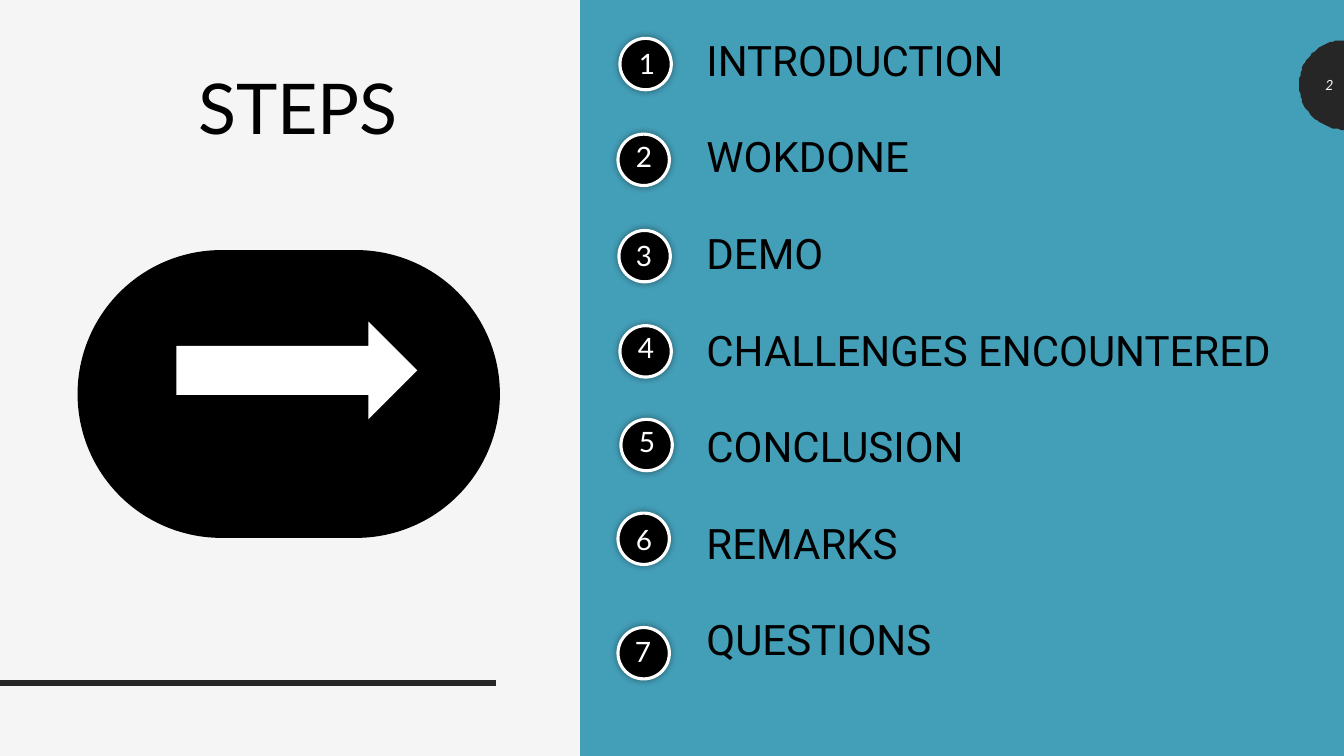
import math
from lxml import etree
from pptx import Presentation
from pptx.dml.color import RGBColor
from pptx.enum import shapes as kinds, text as opts
from pptx.oxml import ns, parse_xml
from pptx.util import Pt

theme = {
    "paper": "F5F5F5", "teal": "439EB7", "dark": "262626",
    "black": "000000", "white": "FFFFFF",
    "title": 50, "item": 30, "badge": 20, "page": 10,
}
kind = kinds.MSO_SHAPE
align = opts.PP_ALIGN
middle = opts.MSO_ANCHOR.MIDDLE


def style(shape, fill, glow=False):
    shape.shadow.inherit = False
    shape.fill.solid()
    shape.fill.fore_color.rgb = RGBColor.from_string(theme[fill])
    shape.line.fill.background()
    if glow:
        effects = shape._element.spPr.find(ns.qn("a:effectLst"))
        effects.append(parse_xml(
            f'<a:outerShdw {ns.nsdecls("a")} blurRad="{Pt(5)}" dist="0" dir="0">'
            f'<a:srgbClr val="{theme["black"]}"><a:alpha val="40000"/></a:srgbClr>'
            '</a:outerShdw>'))
    return shape


def write(area, words, size, color, face="Lato", side=align.LEFT, wrap=True):
    box = slide.shapes.add_textbox(*map(Pt, area))
    frame = box.text_frame
    frame.word_wrap = wrap
    frame.text = words
    for para in frame.paragraphs:
        para.alignment = side
        font = para.runs[0].font
        font.name = face
        font.size = Pt(theme[size])
        font.color.rgb = RGBColor.from_string(theme[color])
    return frame


deck = Presentation()
deck.slide_width, deck.slide_height = Pt(960), Pt(540)
slide = deck.slides.add_slide(deck.slide_layouts[6])
slide.background.fill.solid()
slide.background.fill.fore_color.rgb = RGBColor.from_string(theme["paper"])

rule = slide.shapes.add_connector(
    kinds.MSO_CONNECTOR.STRAIGHT, Pt(0), Pt(488), Pt(354.3), Pt(488))
rule.line.width = Pt(4.5)
rule.line.color.rgb = RGBColor.from_string(theme["dark"])
etree.SubElement(rule._element.spPr, ns.qn("a:effectLst"))

panel = slide.shapes.add_shape(kind.RECTANGLE, Pt(414.4), Pt(0), Pt(545.6), Pt(540))
style(panel, "teal")

mid, radius = 60.6, 32
arc = [(960 - radius * math.sin(math.pi * n / 48),
        mid - radius * math.cos(math.pi * n / 48)) for n in range(49)]
outline = slide.shapes.build_freeform(*arc[0], scale=Pt(1))
outline.add_line_segments(arc[1:], close=True)
style(outline.convert_to_shape(), "dark")

page = write((927.5, 46, 32, 28.8), "2", "page", "paper", side=align.RIGHT)
page.vertical_anchor = middle
page.paragraphs[0].runs[0].font.italic = True

title = write((132.5, 49, 159, 62.6), "STEPS", "title", "black", side=align.RIGHT)
title.paragraphs[0].line_spacing = 0.9

items = ["INTRODUCTION", "WOKDONE", "DEMO", "CHALLENGES ENCOUNTERED",
         "CONCLUSION", "REMARKS", "QUESTIONS"]
agenda = write((497.5, 17.3, 433.4, 464.4), "\n".join(items), "item", "black", "Roboto")
agenda.vertical_anchor = middle
for para in agenda.paragraphs:
    para.space_before, para.space_after = Pt(9), Pt(24)

pill = slide.shapes.add_shape(
    kind.ROUNDED_RECTANGLE, Pt(55.4), Pt(178.6), Pt(301.7), Pt(205.6))
pill.adjustments[0] = 0.5
style(pill, "black")

badges = [
    (442.8, 27.4, 449.3, 29.5), (441.4, 95.8, 447.1, 95.8),
    (442.1, 164.6, 447.1, 167), (442.8, 232.6, 448.6, 232.6),
    (443.5, 299.5, 449.3, 299.5), (441.4, 366.5, 447.1, 369.4),
    (441.4, 448.2, 446.4, 450),
]
for number, (left, top, x, y) in enumerate(badges, 1):
    disc = slide.shapes.add_shape(kind.OVAL, Pt(left), Pt(top), Pt(36.7), Pt(36.7))
    style(disc, "black", glow=True)
    disc.line.width = Pt(2.25)
    disc.line.color.rgb = RGBColor.from_string(theme["white"])
    write((x, y, 25.9, 31.7), str(number), "badge", "white", wrap=False)

arrow = slide.shapes.add_shape(
    kind.RIGHT_ARROW, Pt(126), Pt(229.7), Pt(172), Pt(69.8))
style(arrow, "white", glow=True)

deck.save("out.pptx")
